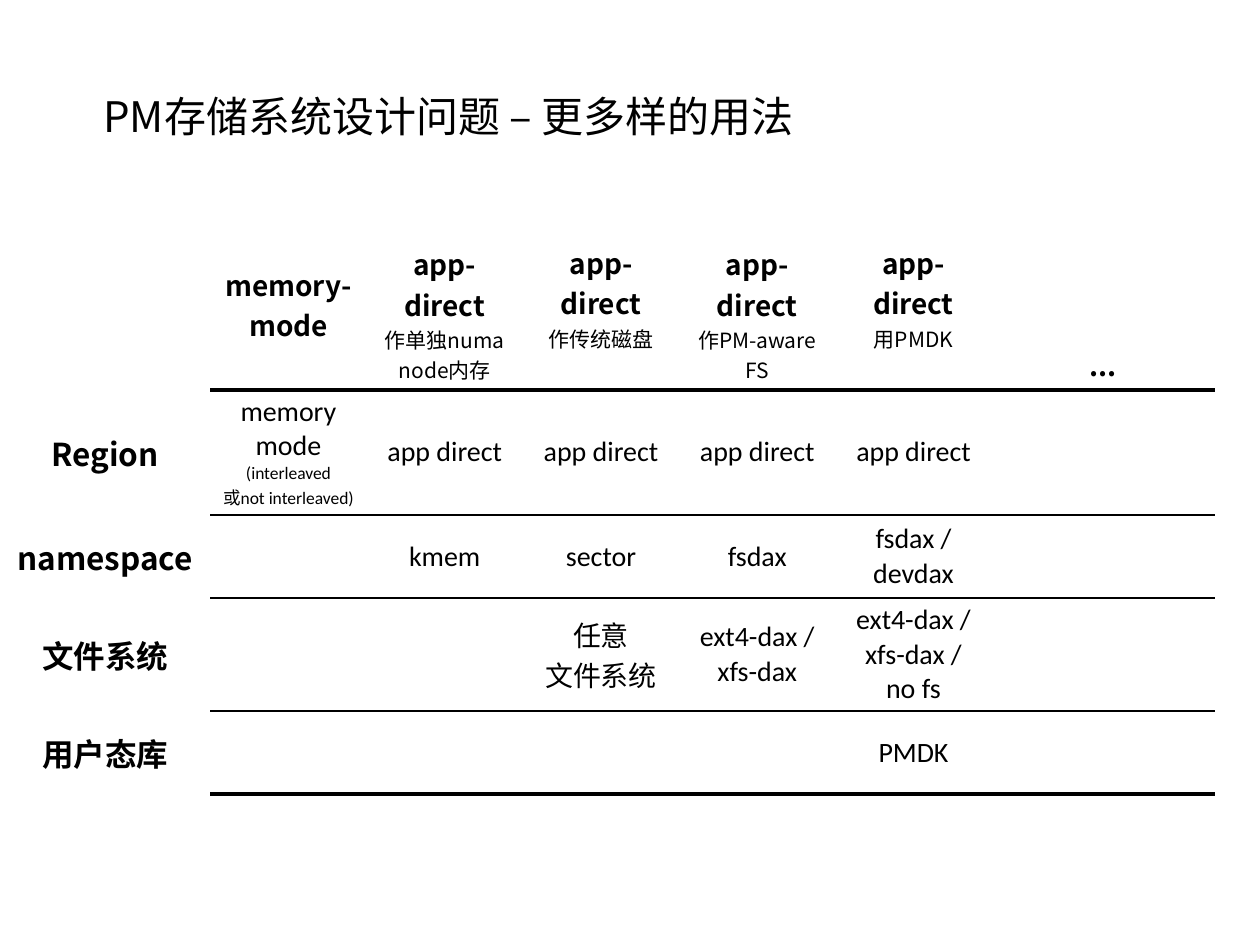
from typing import NamedTuple

from lxml.etree import SubElement
from pptx import Presentation
from pptx.dml.color import RGBColor
from pptx.enum.text import MSO_ANCHOR as Anchor, MSO_AUTO_SIZE as AutoSize, PP_ALIGN as Align
from pptx.oxml.ns import qn
from pptx.util import Cm, Pt

BLACK = RGBColor(0x00, 0x00, 0x00)
CJK = "Noto Sans CJK SC"
LATIN = "Calibri"
PLAIN_TABLE_STYLE = "{2D5ABB26-0587-4C30-8999-92F81FD0307C}"
THICK, THIN = Pt(2.25), Pt(1)


class Style(NamedTuple):
    size: float
    bold: bool = False
    face: str = CJK


TITLE = Style(24)
MODE = Style(16, bold=True)
USAGE = Style(12)
LAYER = Style(18, bold=True)
VALUE = Style(16, face=LATIN)
VALUE_CJK = Style(16)
REMARK = Style(10, face=LATIN)

# Each mode: name, usage, bottom margin in cm that lines its name up with the others
MODES = [
    ("memory-mode", "", 0.91),
    ("app-direct", "作单独numa node内存", 0.1),
    ("app-direct", "作传统磁盘", 0.74),
    ("app-direct", "作PM-aware FS", 0.1),
    ("app-direct", "用PMDK", 0.74),
    ("...", "", 0.1),
]

APP_DIRECT = [("app direct", VALUE)]
LAYERS = {
    "Region": {
        1: [("memory mode", VALUE), ("(interleaved", REMARK), ("或not interleaved)", REMARK)],
        2: APP_DIRECT, 3: APP_DIRECT, 4: APP_DIRECT, 5: APP_DIRECT,
    },
    "namespace": {
        2: [("kmem", VALUE)],
        3: [("sector", VALUE)],
        4: [("fsdax", VALUE)],
        5: [("fsdax / devdax", VALUE)],
    },
    "文件系统": {
        3: [("任意", VALUE_CJK), ("文件系统", VALUE_CJK)],
        4: [("ext4-dax /", VALUE), ("xfs-dax", VALUE)],
        5: [("ext4-dax /", VALUE), ("xfs-dax /", VALUE), ("no fs", VALUE)],
    },
    "用户态库": {5: [("PMDK", VALUE)]},
}

COLUMN_WIDTHS = [4.24] + [3.15] * 5 + [4.5]
ROW_HEIGHTS = [4.2, 2.36, 1.68, 2.2, 1.68]


def write_lines(frame, lines, align):
    for i, (text, style) in enumerate(lines):
        paragraph = frame.paragraphs[0] if i == 0 else frame.add_paragraph()
        paragraph.text = text
        paragraph.alignment = align
        font = paragraph.font
        font.size, font.bold, font.name = Pt(style.size), style.bold, style.face
        font.color.rgb = BLACK
        defaults = paragraph._p.pPr.find(qn("a:defRPr"))
        SubElement(defaults, qn("a:ea")).set("typeface", CJK)


def fill_cell(cell, lines, anchor=Anchor.MIDDLE, bottom=0.1):
    cell.vertical_anchor = anchor
    cell.margin_left = cell.margin_right = Cm(0.18)
    cell.margin_top, cell.margin_bottom = Cm(0.1), Cm(bottom)
    write_lines(cell.text_frame, lines, Align.CENTER)


def rule_cell(cell, edges):
    """Draw the given edges, a dict of a:lnT / a:lnB to width."""
    properties = cell._tc.get_or_add_tcPr()
    for position, (edge, width) in enumerate(edges.items()):
        line = SubElement(properties, qn(edge), w=str(width))
        properties.insert(position, line)
        fill = SubElement(line, qn("a:solidFill"))
        SubElement(fill, qn("a:srgbClr"), val=str(BLACK))


def add_title(slide, left, top, width, height):
    title = slide.shapes.title
    title.left, title.top, title.width, title.height = left, top, width, height
    frame = title.text_frame
    frame.auto_size = AutoSize.NONE
    frame.word_wrap = False
    frame.vertical_anchor = Anchor.MIDDLE
    write_lines(frame, [("PM存储系统设计问题 – 更多样的用法", TITLE)], Align.LEFT)


def add_usage_table(slide, left, top):
    row_count, column_count = len(ROW_HEIGHTS), len(COLUMN_WIDTHS)
    graphic = slide.shapes.add_table(row_count, column_count, left, top,
                                     Cm(sum(COLUMN_WIDTHS)), Cm(sum(ROW_HEIGHTS)))
    table = graphic.table
    table.first_row = table.horz_banding = False
    table._tbl.tblPr.find(qn("a:tableStyleId")).text = PLAIN_TABLE_STYLE
    for column, width in zip(table.columns, COLUMN_WIDTHS):
        column.width = Cm(width)
    for row, height in zip(table.rows, ROW_HEIGHTS):
        row.height = Cm(height)

    for column, (mode, usage, bottom) in enumerate(MODES, start=1):
        lines = [(mode, MODE)] + ([(usage, USAGE)] if usage else [])
        fill_cell(table.cell(0, column), lines, Anchor.BOTTOM, bottom)
    for row, (layer, values) in enumerate(LAYERS.items(), start=1):
        fill_cell(table.cell(row, 0), [(layer, LAYER)])
        for column, lines in values.items():
            fill_cell(table.cell(row, column), lines)

    rules = [THICK] + [THIN] * (row_count - 2) + [THICK]
    for row in range(row_count):
        for column in range(column_count):
            cell = table.cell(row, column)
            cell.fill.background()
            if column:
                above = {"a:lnT": rules[row - 1]} if row else {}
                rule_cell(cell, {**above, "a:lnB": rules[row]})


def main():
    presentation = Presentation()
    presentation.slide_width, presentation.slide_height = Cm(25.4), Cm(19.05)
    slide = presentation.slides.add_slide(presentation.slide_layouts[5])
    add_title(slide, Cm(1.83), Cm(1.7), Cm(14.68), Cm(1.27))
    add_usage_table(slide, Cm(0), Cm(3.66))
    presentation.save("out.pptx")


if __name__ == "__main__":
    main()
